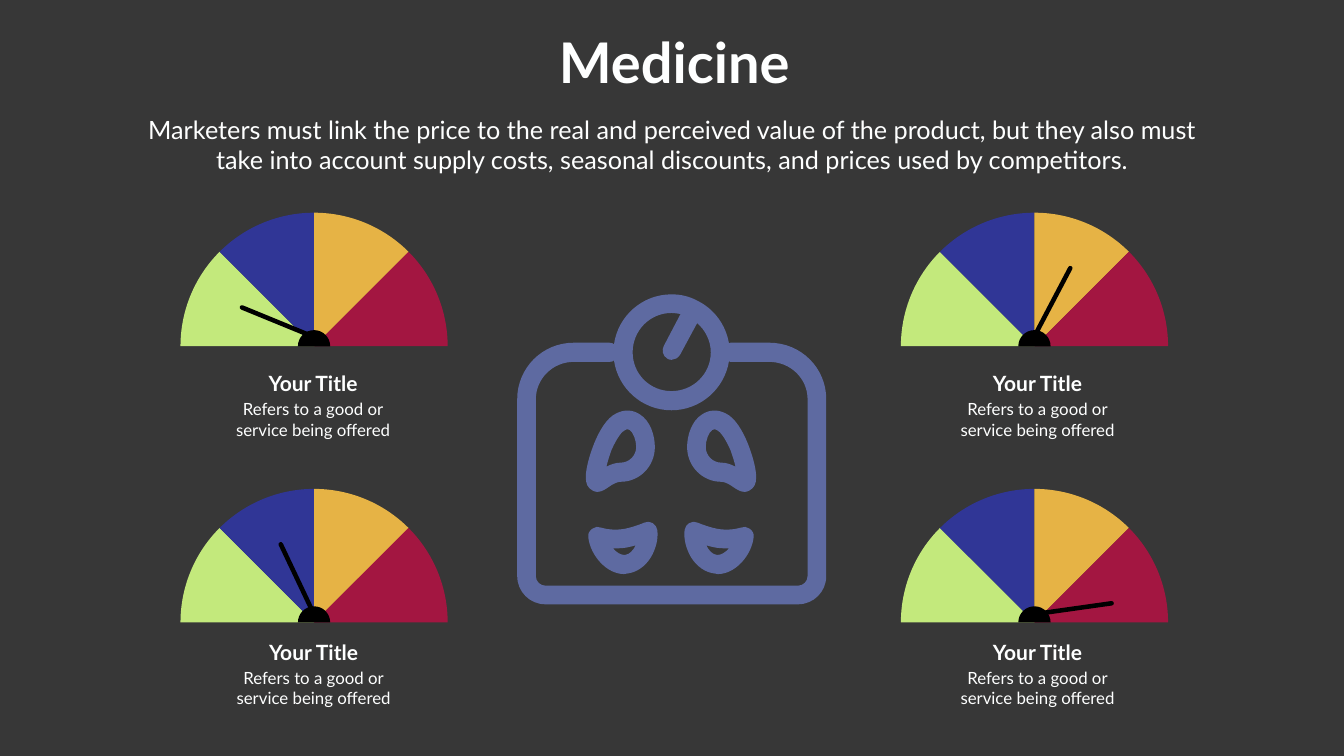
from math import cos, radians, sin, tan

from lxml.etree import SubElement
from pptx import Presentation
from pptx.dml.color import RGBColor
from pptx.enum.shapes import MSO_CONNECTOR
from pptx.enum.text import PP_ALIGN
from pptx.oxml.ns import qn
from pptx.util import Inches, Pt

COLORS = {
    "background": "373737",
    "text": "FEFFFF",
    "scale": "5E6AA1",
    "low": "C3E97C",
    "medium": "303696",
    "high": "E6B345",
    "extreme": "A31641",
    "needle": "000000",
}
FONT = "Lato"
RADIUS = 2.65
HUB_RADIUS = 0.32
LEVELS = ["low", "medium", "high", "extreme"]
MIRROR_AXIS = 13.31

GAUGES = [
    {"center": (6.23, 6.87), "needle": ((6.19, 6.67), (4.8, 6.1)), "caption": (6.21, 7.31)},
    {"center": (20.52, 6.87), "needle": ((20.53, 6.65), (21.23, 5.32)), "caption": (20.58, 7.31)},
    {"center": (6.23, 12.35), "needle": ((6.21, 12.15), (5.57, 10.8)), "caption": (6.22, 12.64)},
    {"center": (20.52, 12.35), "needle": ((20.56, 12.18), (22.05, 11.97)), "caption": (20.58, 12.64)},
]

SCALE_BODY = [
    [(15.26, 6.8), (14.49, 6.8), (14.46, 6.81),
     (14.4, 6.45, 14.17, 6.14, 13.86, 5.98), (13.68, 5.88, 13.51, 5.84, 13.32, 5.84),
     (12.74, 5.84, 12.26, 6.27, 12.18, 6.83), (12.16, 6.81, 12.13, 6.8, 12.09, 6.8),
     (11.38, 6.8), (10.76, 6.8, 10.26, 7.3, 10.26, 7.92),
     (10.26, 11.43), (10.26, 11.74, 10.51, 11.99, 10.82, 11.99),
     (15.83, 11.99), (16.14, 11.99, 16.39, 11.74, 16.39, 11.43),
     (16.39, 7.92), (16.39, 7.3, 15.89, 6.8, 15.26, 6.8)],
    [(13.32, 6.21), (13.38, 6.21, 13.44, 6.22, 13.5, 6.23),
     (13.17, 6.86), (13.12, 6.95, 13.15, 7.06, 13.23, 7.11),
     (13.26, 7.13, 13.29, 7.14, 13.32, 7.14), (13.39, 7.14, 13.45, 7.1, 13.49, 7.04),
     (13.83, 6.41), (13.99, 6.55, 14.1, 6.76, 14.1, 6.99),
     (14.1, 7.42, 13.75, 7.76, 13.32, 7.76), (12.89, 7.76, 12.55, 7.42, 12.55, 6.99),
     (12.55, 6.56, 12.89, 6.21, 13.32, 6.21)],
    [(16.02, 11.43), (16.02, 11.54, 15.93, 11.62, 15.83, 11.62),
     (10.82, 11.62), (10.72, 11.62, 10.63, 11.54, 10.63, 11.43),
     (10.63, 7.92), (10.63, 7.51, 10.97, 7.18, 11.38, 7.18),
     (12.09, 7.18), (12.13, 7.18, 12.16, 7.17, 12.18, 7.15),
     (12.26, 7.71, 12.74, 8.14, 13.32, 8.14), (13.89, 8.14, 14.37, 7.72, 14.46, 7.17),
     (14.49, 7.18), (15.26, 7.18), (15.68, 7.18, 16.02, 7.51, 16.02, 7.92)],
]
HEEL = [
    [(12.95, 10.38), (12.9, 10.35, 12.83, 10.34, 12.78, 10.37),
     (12.71, 10.4, 12.5, 10.48, 12.34, 10.5), (12.1, 10.53, 11.94, 10.47, 11.93, 10.47),
     (11.87, 10.44, 11.8, 10.45, 11.75, 10.49), (11.69, 10.53, 11.66, 10.59, 11.67, 10.66),
     (11.69, 10.84, 11.78, 11.02, 11.91, 11.16), (12.05, 11.31, 12.22, 11.39, 12.38, 11.39),
     (12.44, 11.38), (12.62, 11.36, 12.79, 11.25, 12.91, 11.06),
     (13.01, 10.89, 13.06, 10.7, 13.04, 10.52), (13.03, 10.46, 13, 10.41, 12.95, 10.38)],
    [(12.4, 11.01), (12.32, 11.02, 12.23, 10.96, 12.16, 10.88),
     (12.23, 10.88, 12.31, 10.88, 12.39, 10.87), (12.46, 10.86, 12.54, 10.84, 12.61, 10.82),
     (12.56, 10.92, 12.49, 11, 12.4, 11.01)],
]
SOLE = [
    [(11.75, 9.73), (11.78, 9.75, 11.82, 9.76, 11.85, 9.76),
     (11.94, 9.76, 12.02, 9.7, 12.08, 9.66), (12.15, 9.61, 12.24, 9.56, 12.31, 9.56),
     (12.69, 9.56, 12.99, 9.25, 12.99, 8.87), (12.99, 8.64, 12.9, 8.35, 12.69, 8.22),
     (12.55, 8.13, 12.39, 8.12, 12.23, 8.2), (12.03, 8.29, 11.88, 8.57, 11.79, 8.79),
     (11.69, 9.04, 11.62, 9.3, 11.62, 9.47), (11.62, 9.6, 11.66, 9.68, 11.75, 9.73)],
    [(12.13, 8.93), (12.24, 8.68, 12.34, 8.56, 12.39, 8.54),
     (12.41, 8.52, 12.44, 8.52, 12.45, 8.52), (12.49, 8.53),
     (12.56, 8.58, 12.62, 8.73, 12.62, 8.87), (12.62, 9.04, 12.48, 9.18, 12.31, 9.18),
     (12.2, 9.18, 12.11, 9.22, 12.03, 9.26), (12.05, 9.16, 12.09, 9.05, 12.13, 8.93)],
]


def rgb(name):
    return RGBColor.from_string(COLORS[name])


def arc(center, radius, start, end):
    x, y = center
    a, b = radians(start), radians(end)
    k = 4 / 3 * tan((b - a) / 4)
    unit = [(cos(a), sin(a)),
            (cos(a) - k * sin(a), sin(a) + k * cos(a)),
            (cos(b) + k * sin(b), sin(b) - k * cos(b)),
            (cos(b), sin(b))]
    first, *curve = [(x + radius * u, y - radius * v) for u, v in unit]
    return [first, sum(curve, ())]


def mirror(segment):
    return tuple(v if i % 2 else 2 * MIRROR_AXIS - v for i, v in enumerate(segment))


def curve_lines(sp, segments):
    lines = iter(list(sp._element.iter(qn("a:lnTo"))))
    for segment in segments:
        curve = next(lines)
        if len(segment) == 6:
            curve.tag = qn("a:cubicBezTo")
            for line in (next(lines), next(lines)):
                curve.append(line[0])
                line.getparent().remove(line)


def add_outline(s, contours, color):
    builder = None
    for contour in contours:
        values = [Inches(v) for segment in contour for v in segment]
        first, *points = zip(values[::2], values[1::2])
        if builder is None:
            builder = s.shapes.build_freeform(*first)
        else:
            builder.move_to(*first)
        builder.add_line_segments(points, close=True)
    sp = builder.convert_to_shape()
    curve_lines(sp, [segment for contour in contours for segment in contour[1:]])
    sp.shadow.inherit = False
    sp.fill.solid()
    sp.fill.fore_color.rgb = rgb(color)
    sp.line.fill.background()


def add_needle(s, start, end):
    line = s.shapes.add_connector(
        MSO_CONNECTOR.STRAIGHT, *[Inches(v) for v in (*start, *end)])
    line.line.color.rgb = rgb("needle")
    line.line.width = Pt(6.5)
    line.line._get_or_add_ln().set("cap", "rnd")
    SubElement(line._element.spPr, qn("a:effectLst"))


def add_text(shapes, box, lines, size, bold=False):
    tf = shapes.add_textbox(*[Inches(v) for v in box]).text_frame
    tf.word_wrap = True
    tf.text = "\n".join(lines)
    for p in tf.paragraphs:
        p.alignment = PP_ALIGN.CENTER
        for r in p.runs:
            r.font.name = FONT
            r.font.size = Pt(size)
            r.font.bold = bold
            r.font.color.rgb = rgb("text")


def add_gauge(s, center, needle):
    sweep = 180 / len(LEVELS)
    for i, level in enumerate(LEVELS):
        start = 180 - i * sweep
        add_outline(s, [arc(center, RADIUS, start, start - sweep) + [center]], level)
    add_outline(s, [arc(center, HUB_RADIUS, 180, 90) + arc(center, HUB_RADIUS, 90, 0)], "needle")
    add_needle(s, *needle)


def add_caption(s, x, y):
    group = s.shapes.add_group_shape()
    add_text(group.shapes, (x - 1.12, y, 2.24, 0.71), ["Your Title"], 30, bold=True)
    add_text(group.shapes, (x - 1.7, y + 0.56, 3.4, 1.04),
             ["Refers to a good or", "service being offered"], 24)


def add_scale(s):
    add_outline(s, SCALE_BODY, "scale")
    for part in (HEEL, SOLE):
        add_outline(s, part, "scale")
        add_outline(s, [[mirror(segment) for segment in contour] for contour in part], "scale")


def main():
    prs = Presentation()
    prs.slide_width, prs.slide_height = Inches(26.66), Inches(15)
    s = prs.slides.add_slide(prs.slide_layouts[6])
    s.background.fill.solid()
    s.background.fill.fore_color.rgb = rgb("background")

    add_scale(s)
    for gauge in GAUGES:
        add_gauge(s, gauge["center"], gauge["needle"])
        add_caption(s, *gauge["caption"])
    add_text(s.shapes, (10.61, 0.5, 5.53, 1.45), ["Medicine"], 80, bold=True)
    add_text(s.shapes, (2.68, 2.22, 21.3, 1.31), [
        "Marketers must link the price to the real and perceived value of the product, "
        "but they also must take into account supply costs, seasonal discounts, "
        "and prices used by competitors."], 36)
    prs.save("out.pptx")


if __name__ == "__main__":
    main()
